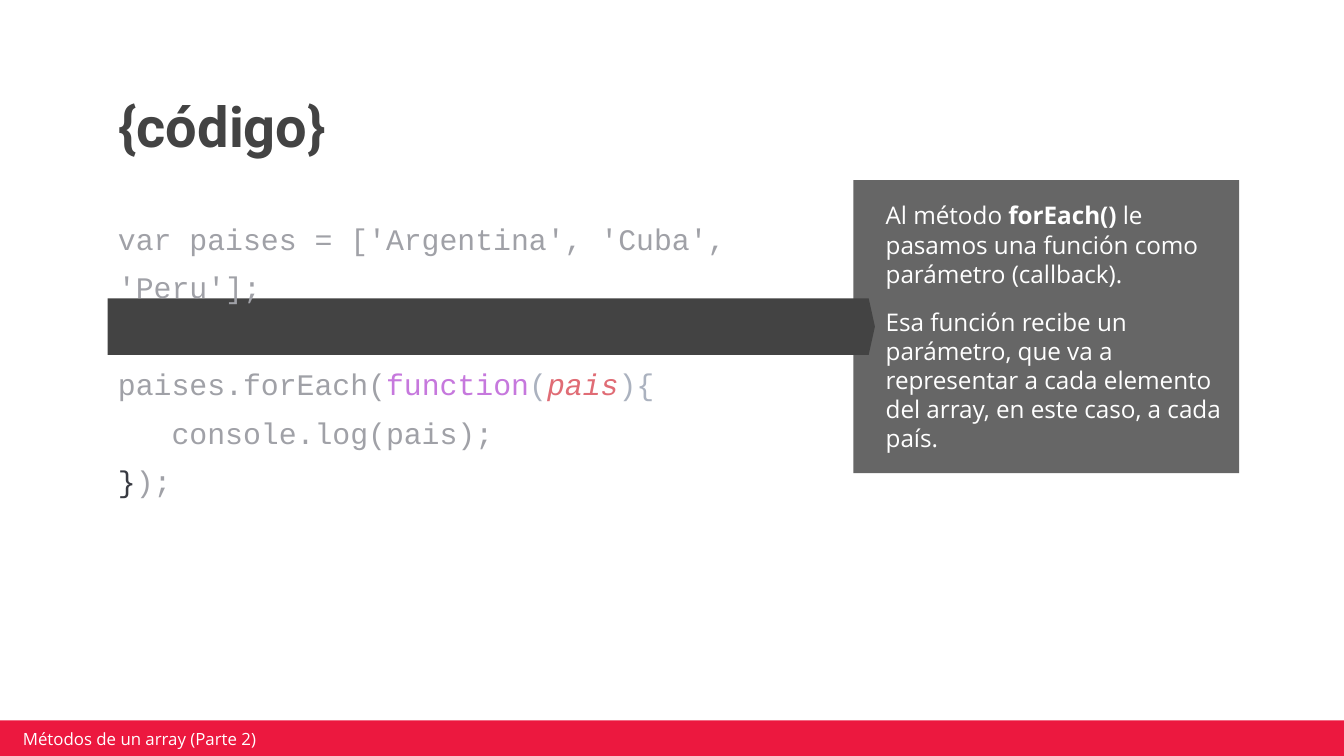
from dataclasses import dataclass

from pptx import Presentation
from pptx.dml.color import RGBColor
from pptx.enum.shapes import MSO_SHAPE
from pptx.enum.text import MSO_ANCHOR, MSO_AUTO_SIZE, PP_ALIGN
from pptx.util import Inches, Pt


@dataclass(frozen=True)
class Theme:
    heading_font: str = "Roboto"
    body_font: str = "Open Sans"
    code_font: str = "Courier New"
    dark: str = "434343"
    panel: str = "666666"
    accent: str = "EC183F"
    white: str = "FFFFFF"
    code: str = "A0A1A7"
    keyword: str = "C678DD"
    punctuation: str = "ABB2BF"
    parameter: str = "E06C75"
    brace: str = "383A42"
    title_size: int = 30
    code_size: int = 16
    note_size: int = 13
    footer_size: int = 9


THEME = Theme()


def place(shape, box):
    shape.left, shape.top, shape.width, shape.height = map(Inches, box)


def set_frame(shape, anchor, margins):
    frame = shape.text_frame
    frame.word_wrap = True
    frame.auto_size = MSO_AUTO_SIZE.NONE
    frame.vertical_anchor = anchor
    (frame.margin_left, frame.margin_top,
     frame.margin_right, frame.margin_bottom) = map(Inches, margins)
    return frame


def style(span, font, size, color, bold=False, italic=False):
    span.font.name = font
    span.font.size = Pt(size)
    span.font.color.rgb = RGBColor.from_string(color)
    span.font.bold = bold
    span.font.italic = italic


def add_block(page, kind, box, color):
    block = page.shapes.add_shape(kind, *map(Inches, box))
    block.shadow.inherit = False
    block.fill.solid()
    block.fill.fore_color.rgb = RGBColor.from_string(color)
    block.line.fill.background()
    return block


def add_text_box(page, box, anchor, margins):
    return set_frame(page.shapes.add_textbox(*map(Inches, box)), anchor, margins)


def paragraphs(frame, count):
    return [frame.paragraphs[0]] + [frame.add_paragraph() for _ in range(count - 1)]


def add_title(page, box):
    title = page.shapes.title
    place(title, box)
    frame = set_frame(title, MSO_ANCHOR.BOTTOM, (0.1, 0.1, 0.1, 0.1))
    frame.text = "{código}"
    para = frame.paragraphs[0]
    para.alignment = PP_ALIGN.LEFT
    para.line_spacing = 0.9
    style(para.runs[0], THEME.heading_font, THEME.title_size, THEME.dark, bold=True)


def add_note(page, box):
    panel = add_block(page, MSO_SHAPE.RECTANGLE, box, THEME.panel)
    frame = set_frame(panel, MSO_ANCHOR.MIDDLE, (0.24, 0, 0.1, 0))
    # Each span is (text, bold)
    note = [
        [("Al método ", False), ("forEach()", True),
         (" le pasamos una función como parámetro (callback).", False)],
        [("Esa función recibe un parámetro, que va a representar a cada "
          "elemento del array, en este caso, a cada país.", False)],
    ]
    for index, (para, spans) in enumerate(zip(paragraphs(frame, len(note)), note)):
        para.alignment = PP_ALIGN.LEFT
        para.space_before = Pt(10 if index else 0)
        for text, bold in spans:
            span = para.add_run()
            span.text = text
            style(span, THEME.body_font, THEME.note_size, THEME.white, bold)


def add_highlight(page, box):
    arrow = add_block(page, MSO_SHAPE.RIGHT_ARROW, box, THEME.dark)
    arrow.adjustments[0] = 1
    arrow.adjustments[1] = 0.11


def add_code(page, box):
    frame = add_text_box(page, box, MSO_ANCHOR.TOP, (0.1, 0.26, 0.1, 0.1))
    # Each line is (space before, spans)
    lines = [
        (0, [("var paises = ['Argentina', 'Cuba', 'Peru'];", THEME.code)]),
        (26, [("paises.forEach(", THEME.code), ("function", THEME.keyword),
              ("(", THEME.punctuation), ("pais", THEME.parameter),
              ("){", THEME.punctuation)]),
        (0, [("   console.log(pais);", THEME.code)]),
        (0, [("}", THEME.brace), (");", THEME.code)]),
    ]
    for para, (gap, spans) in zip(paragraphs(frame, len(lines)), lines):
        para.line_spacing = 1.35
        para.space_before = Pt(gap)
        for text, color in spans:
            span = para.add_run()
            span.text = text
            style(span, THEME.code_font, THEME.code_size, color,
                  italic=color == THEME.parameter)


def add_footer(page, box):
    left, top, _, _ = box
    add_block(page, MSO_SHAPE.RECTANGLE, box, THEME.accent)
    frame = add_text_box(page, (left + 0.14, top + 0.06, 2.39, 0.15),
                         MSO_ANCHOR.MIDDLE, (0.05, 0.02, 0.05, 0.02))
    frame.text = "Métodos de un array (Parte 2)"
    style(frame.paragraphs[0].runs[0], THEME.body_font, THEME.footer_size, THEME.white)


def main():
    deck = Presentation()
    # Widescreen 16:9
    deck.slide_width = Inches(10)
    deck.slide_height = deck.slide_width * 9 // 16
    page = deck.slides.add_slide(deck.slide_layouts[5])
    add_title(page, (0.78, 0.6, 8.43, 0.69))
    # Explanation panel, with the bar pointing to it
    add_note(page, (6.35, 1.34, 2.87, 2.18))
    add_highlight(page, (0.8, 2.22, 5.71, 0.42))
    add_code(page, (0.78, 1.29, 5.56, 4.07))
    add_footer(page, (-0.02, 5.36, 10.03, 0.27))
    deck.save("out.pptx")


if __name__ == "__main__":
    main()
